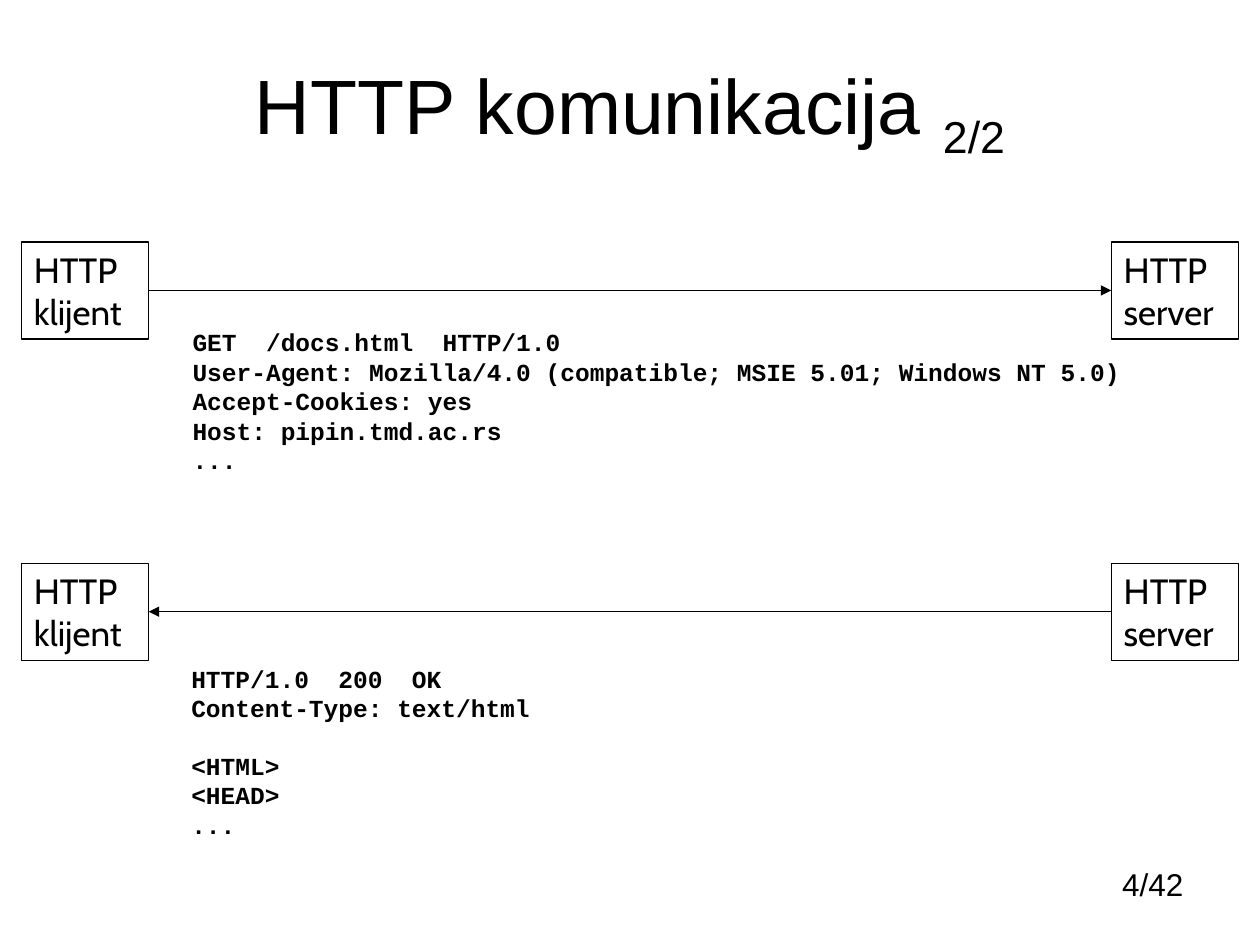
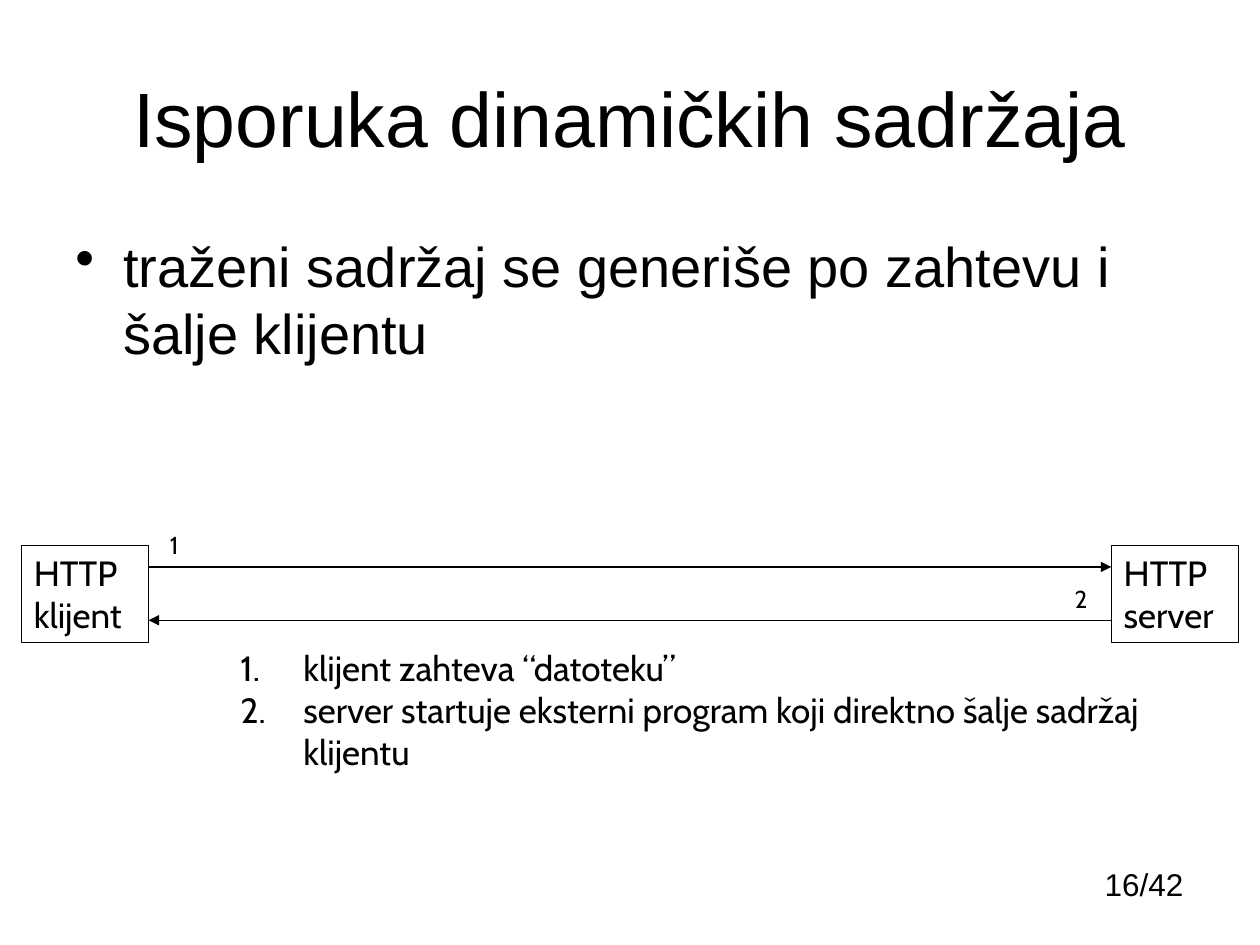
from dataclasses import dataclass

from lxml.etree import SubElement
from pptx import Presentation
from pptx.dml.color import RGBColor
from pptx.enum.shapes import MSO_CONNECTOR as Connector, MSO_SHAPE as Shape
from pptx.enum.text import MSO_ANCHOR as Anchor, PP_ALIGN as Align
from pptx.oxml.ns import qn
from pptx.util import Inches, Pt

COLORS = {"ink": "000000", "paper": "FFFFFF"}
SANS, HUMANIST, MONO = "Arial", "Cabin", "Courier New"
WIDTH, HEIGHT = Inches(10), Inches(7.5)
COLUMN, ROW = WIDTH // 100, HEIGHT // 75
PAGES = 42
NODE_WIDTH = 10.1
LABEL_SIZE = 3.2


@dataclass
class Box:
    """A rectangle in columns and rows of the slide grid."""
    left: float
    top: float
    width: float
    height: float

    def inside(self, dx, dy, width, height):
        """Return a box offset from this one's top left corner."""
        return Box(self.left + dx, self.top + dy, width, height)

    def emu(self):
        """Return the box as slide lengths."""
        return (int(self.left * COLUMN), int(self.top * ROW),
                int(self.width * COLUMN), int(self.height * ROW))


EXCHANGE = Box(1.7, 0, 96.6, 7.7)


def ink():
    """Return the colour of text and lines."""
    return RGBColor.from_string(COLORS["ink"])


def style(frame, font, size, bold=False, align=Align.LEFT):
    """Format every paragraph of a text frame alike."""
    frame.word_wrap = True
    for paragraph in frame.paragraphs:
        paragraph.alignment = align
        for run in paragraph.runs:
            run.font.name, run.font.size = font, Pt(size)
            run.font.bold = bold
            run.font.color.rgb = ink()


def write(slide, box, text, font, size, **look):
    """Add a text box and return its frame."""
    frame = slide.shapes.add_textbox(*box.emu()).text_frame
    frame.text = text
    style(frame, font, size, **look)
    return frame


def indent(paragraph, inches, tag, **mark):
    """Give a paragraph a hanging bullet or number."""
    properties = paragraph._p.get_or_add_pPr()
    properties.set("marL", str(Inches(inches)))
    properties.set("indent", str(-Inches(inches)))
    SubElement(properties, qn(tag), **mark)


def heading(slide, box, title, part=""):
    """Write the slide title with an optional lowered part number."""
    frame = write(slide, box, title, SANS, 44, align=Align.CENTER)
    frame.vertical_anchor = Anchor.MIDDLE
    if part:
        lowered = frame.paragraphs[0].add_run()
        lowered.text = part
        style(frame, SANS, 44, align=Align.CENTER)
        lowered._r.get_or_add_rPr().set("baseline", "-25000")


def page_number(slide, box, page):
    """Write the page out of the total at the lower right."""
    write(slide, box, f"{page}/{PAGES}", SANS, 18, align=Align.RIGHT)


def node(slide, box, role):
    """Draw one end of the HTTP exchange."""
    rectangle = slide.shapes.add_shape(Shape.RECTANGLE, *box.emu())
    rectangle.shadow.inherit = False
    rectangle.fill.background()
    rectangle.line.color.rgb = ink()
    rectangle.line.width = Pt(0.75)
    frame = rectangle.text_frame
    frame.text = f"HTTP\n{role}"
    frame.vertical_anchor = Anchor.TOP
    style(frame, HUMANIST, 20)
    return rectangle


def arrow(slide, start, end):
    """Draw a thin line with a triangle at its end."""
    line = slide.shapes.add_connector(Connector.STRAIGHT, *start, *end)
    line.line.color.rgb = ink()
    line.line.width = Pt(0.75)
    SubElement(line.line._get_or_add_ln(), qn("a:tailEnd"), type="triangle")
    SubElement(line._element.spPr, qn("a:effectLst"))
    return line


def exchange(slide, box, messages):
    """Draw client and server with messages of (sender, share of height, label)."""
    far = box.width - NODE_WIDTH
    client = node(slide, box.inside(0, 0, NODE_WIDTH, box.height), "klijent")
    server = node(slide, box.inside(far, 0, NODE_WIDTH, box.height), "server")
    for sender, share, label in messages:
        level = client.top + int(client.height * share)
        ends = [(client, 3, client.left + client.width), (server, 1, server.left)]
        if sender == "server":
            ends.reverse()
        (source, out, start), (target, into, end) = ends
        message = arrow(slide, (start, level), (end, level))
        if share == 0.5:
            message.begin_connect(source, out)
            message.end_connect(target, into)
        if label:
            dx = NODE_WIDTH + 0.7 if sender == "client" else far - LABEL_SIZE - 0.7
            spot = box.inside(dx, box.height * share - 3.4, LABEL_SIZE, 3.4)
            write(slide, spot, label, HUMANIST, 14)


def listing(slide, box, code):
    """Write lines of protocol text, turning an empty line into spacing."""
    head, *body = code.split("\n\n")
    frame = write(slide, box, "\n".join([head, *body]), MONO, 14, bold=True)
    if body:
        frame.paragraphs[len(head.splitlines())].space_before = Pt(16)


def communication_slide(slide, page):
    """Show a request and its response as two exchanges."""
    heading(slide, Box(7.5, 2.5, 85, 12.5), "HTTP komunikacija ", "2/2")
    request = EXCHANGE.inside(0, 19.2, EXCHANGE.width, EXCHANGE.height)
    response = EXCHANGE.inside(0, 44.7, EXCHANGE.width, EXCHANGE.height)
    exchange(slide, request, [("client", 0.5, "")])
    listing(slide, request.inside(12.6, 6.3, 78, 12.7),
            "GET  /docs.html  HTTP/1.0\n"
            "User-Agent: Mozilla/4.0 (compatible; MSIE 5.01; Windows NT 5.0)\n"
            "Accept-Cookies: yes\nHost: pipin.tmd.ac.rs\n...")
    exchange(slide, response, [("server", 0.5, "")])
    listing(slide, response.inside(12.5, 7.5, 78, 15),
            "HTTP/1.0  200  OK\nContent-Type: text/html\n\n<HTML>\n<HEAD>\n...")
    page_number(slide, Box(70.5, 68.2, 24.4, 4), page)


def delivery_slide(slide, page):
    """Explain dynamic delivery with a bullet, an exchange and its steps."""
    heading(slide, Box(5, 3, 90, 12.5), "Isporuka dinamičkih sadržaja")
    point = write(slide, Box(5, 17.9, 90, 12.8),
                  "traženi sadržaj se generiše po zahtevu i šalje klijentu", SANS, 32)
    indent(point.paragraphs[0], 0.38, "a:buChar", char="•")
    delivery = EXCHANGE.inside(0, 43.3, EXCHANGE.width, EXCHANGE.height)
    exchange(slide, delivery, [("client", 0.22, "1"), ("server", 0.77, "2")])
    steps = write(slide, delivery.inside(16.4, 7.5, 80, 11),
                  "klijent zahteva “datoteku”\n"
                  "server startuje eksterni program koji direktno šalje sadržaj \vklijentu",
                  HUMANIST, 20)
    for step in steps.paragraphs:
        indent(step, 0.5, "a:buAutoNum", type="arabicPeriod")
    page_number(slide, Box(70.5, 68.2, 24.4, 4), page)


def main():
    """Build both slides and save them."""
    deck = Presentation()
    deck.slide_width, deck.slide_height = WIDTH, HEIGHT
    for build, page in ((communication_slide, 4), (delivery_slide, 16)):
        slide = deck.slides.add_slide(deck.slide_layouts[6])
        slide.background.fill.solid()
        slide.background.fill.fore_color.rgb = RGBColor.from_string(COLORS["paper"])
        build(slide, page)
    deck.save("out.pptx")


if __name__ == "__main__":
    main()
